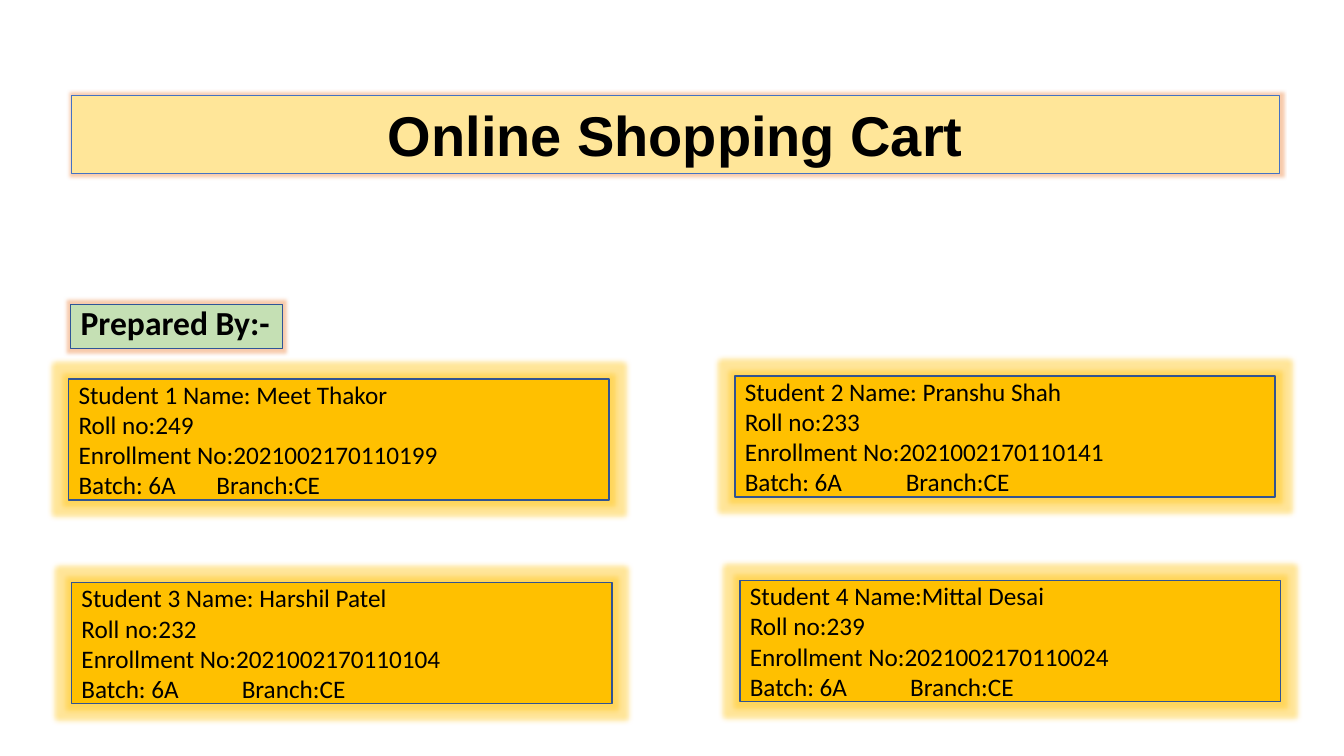
"""Build the title slide of a student project on an online shopping cart."""
from dataclasses import dataclass

import pptx
import pptx.dml.color
import pptx.enum.shapes
import pptx.enum.text
import pptx.oxml
import pptx.oxml.ns
import pptx.util

Pt = pptx.util.Pt
ALIGN = pptx.enum.text.PP_ALIGN
ANCHOR = pptx.enum.text.MSO_ANCHOR


@dataclass(frozen=True)
class Theme:
    """Colours, fonts and type sizes of the slide."""
    heading_font: str = "Arial"
    body_font: str = "Calibri"
    title_size: int = 40
    label_size: int = 24
    card_size: int = 18
    text: str = "000000"
    title_fill: str = "FFE699"
    title_line: str = "4472C4"
    label_fill: str = "C5E0B4"
    label_line: str = "2F5597"
    card_fill: str = "FFC000"
    card_line: str = "325491"
    heading_glow: str = "ED7D31"
    card_glow: str = "FFC000"


THEME = Theme()

STUDENTS = [
    (49, 270.7, 1, " Meet Thakor", 249, "2021002170110199", 98.5),
    (51.1, 416.2, 3, " Harshil Patel", 232, "2021002170110104", 114.5),
    (528.5, 414.7, 4, "Mittal Desai", 239, "2021002170110024", 114.5),
    (524.9, 268.6, 2, " Pranshu Shah", 233, "2021002170110141", 115),
]


def rgb(value):
    """Return a colour object for a hex value."""
    return pptx.dml.color.RGBColor.from_string(value)


def style_box(sp, fill, line, width, glow, radius):
    """Give a box its fill, outline and soft glow."""
    sp.fill.solid()
    sp.fill.fore_color.rgb = rgb(fill)
    sp.line.color.rgb = rgb(line)
    sp.line.width = Pt(width)
    sp.shadow.inherit = False
    effects = sp._element.spPr.find(pptx.oxml.ns.qn("a:effectLst"))
    effects.append(pptx.oxml.parse_xml(
        f'<a:glow {pptx.oxml.ns.nsdecls("a")} rad="{Pt(radius)}">'
        f'<a:srgbClr val="{glow}"><a:alpha val="40000"/></a:srgbClr></a:glow>'))


def style_text(p, font, size, bold=False, align=ALIGN.LEFT):
    """Set the font and alignment of a paragraph."""
    p.alignment = align
    p.font.name = font
    p.font.size = Pt(size)
    p.font.bold = bold
    p.font.color.rgb = rgb(THEME.text)


def add_tab_stop(p, position):
    """Add one left tab stop to a paragraph."""
    p._p.get_or_add_pPr().append(pptx.oxml.parse_xml(
        f'<a:tabLst {pptx.oxml.ns.nsdecls("a")}>'
        f'<a:tab pos="{Pt(position)}" algn="l"/></a:tabLst>'))


def fill_heading(sp, text, box, anchor, spacing):
    """Place a heading placeholder and return its paragraph."""
    sp.left, sp.top, sp.width, sp.height = map(Pt, box)
    tf = sp.text_frame
    tf.text = text
    tf.word_wrap = True
    tf.auto_size = pptx.enum.text.MSO_AUTO_SIZE.NONE
    tf.vertical_anchor = anchor
    p = tf.paragraphs[0]
    p.line_spacing = spacing
    return p


def add_student_card(s, left, top, number, name, roll, enrollment, tab):
    """Add a card with the details of one student."""
    sp = s.shapes.add_shape(pptx.enum.shapes.MSO_SHAPE.RECTANGLE,
                            Pt(left), Pt(top), Pt(386), Pt(86.4))
    style_box(sp, THEME.card_fill, THEME.card_line, 1, THEME.card_glow, 8)
    tf = sp.text_frame
    tf.word_wrap = True
    tf.vertical_anchor = ANCHOR.MIDDLE
    tf.text = "\n".join([f"Student {number} Name:{name}", f"Roll no:{roll}",
                         f"Enrollment No:{enrollment}", "Batch: 6A\tBranch:CE"])
    add_tab_stop(tf.paragraphs[-1], tab)
    for p in tf.paragraphs:
        style_text(p, THEME.body_font, THEME.card_size)


def main():
    """Create the slide and save it."""
    prs = pptx.Presentation()
    prs.slide_width, prs.slide_height = Pt(960), Pt(540)
    s = prs.slides.add_slide(prs.slide_layouts[0])

    title, label = s.shapes.title, s.placeholders[1]
    p = fill_heading(title, "Online Shopping Cart",
                     (51.1, 68.4, 862.6, 55.4), ANCHOR.BOTTOM, 0.9)
    style_text(p, THEME.heading_font, THEME.title_size, True, ALIGN.CENTER)
    style_box(title, THEME.title_fill, THEME.title_line, 0.75, THEME.heading_glow, 5)

    p = fill_heading(label, "Prepared By:-", (50.4, 217.4, 151.2, 31.7), ANCHOR.TOP, 0.8)
    p.space_before = Pt(10)
    style_text(p, THEME.body_font, THEME.label_size, True)
    style_box(label, THEME.label_fill, THEME.label_line, 0.75, THEME.heading_glow, 5)

    for student in STUDENTS:
        add_student_card(s, *student)
    prs.save("out.pptx")


if __name__ == "__main__":
    main()
